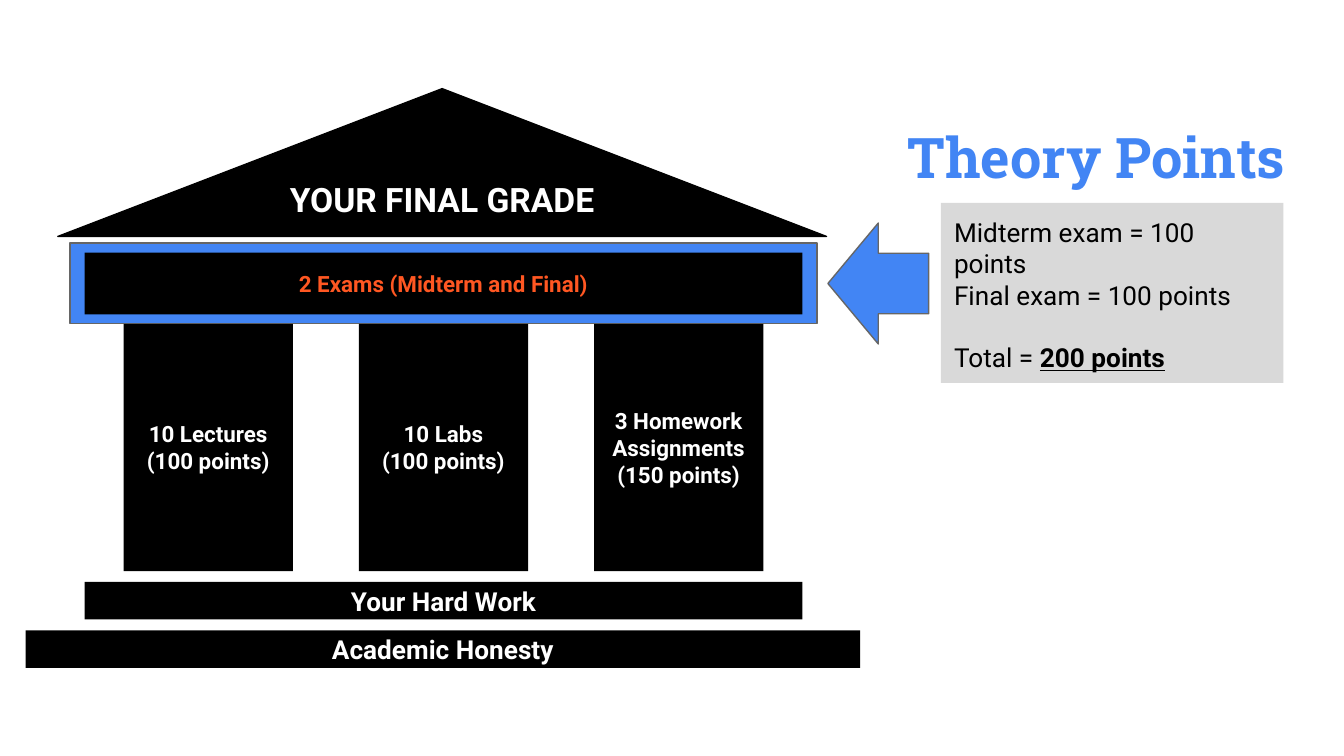
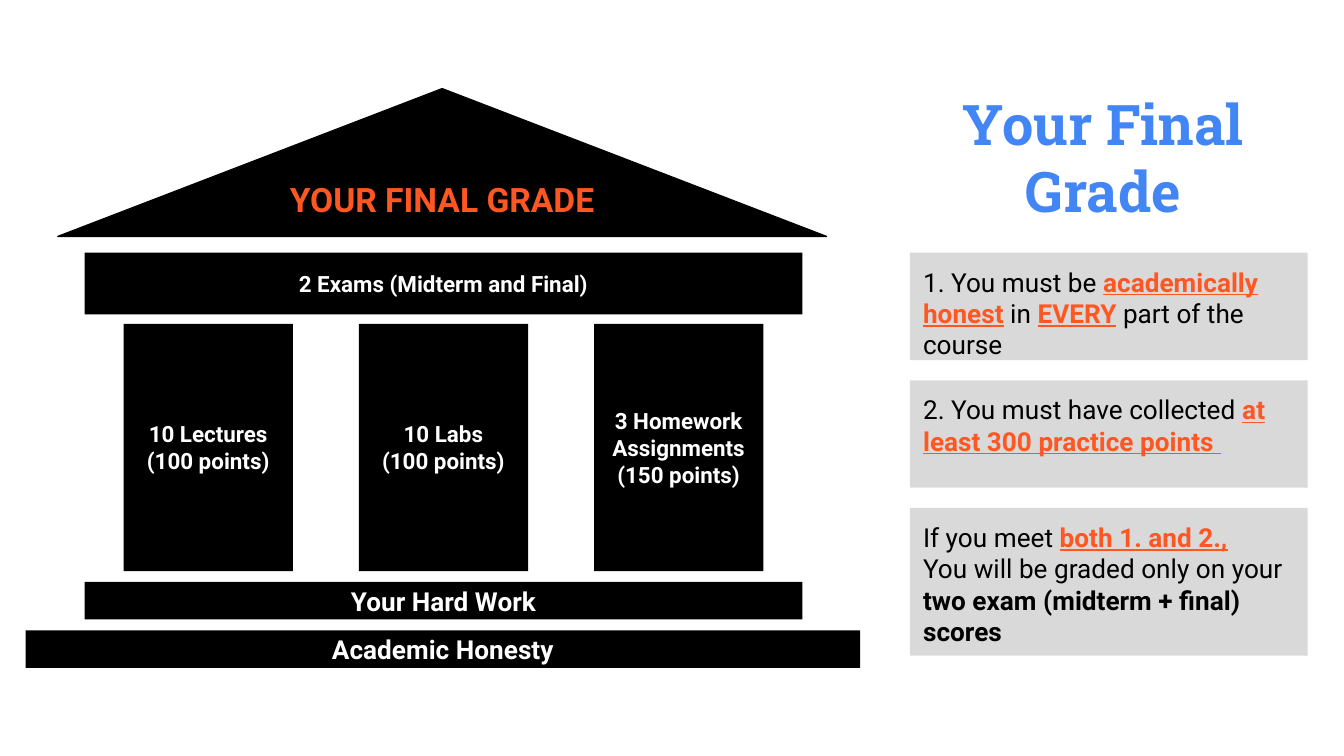
from dataclasses import dataclass

from pptx import Presentation
from pptx.dml.color import RGBColor
from pptx.enum.shapes import MSO_SHAPE
from pptx.enum.text import MSO_ANCHOR, PP_ALIGN
from pptx.util import Inches, Pt

RECTANGLE = MSO_SHAPE.RECTANGLE
TRIANGLE = MSO_SHAPE.ISOSCELES_TRIANGLE
LEFT_ARROW = MSO_SHAPE.LEFT_ARROW
TOP, MIDDLE = MSO_ANCHOR.TOP, MSO_ANCHOR.MIDDLE
LEFT, CENTER = PP_ALIGN.LEFT, PP_ALIGN.CENTER


@dataclass(frozen=True)
class Theme:
    black: str = "000000"
    white: str = "FFFFFF"
    blue: str = "4285F4"
    orange: str = "FF5722"
    panel: str = "D9D9D9"
    outline: str = "666666"
    body_font: str = "Roboto"
    title_font: str = "Roboto Slab"
    title_size: float = 30
    roof_size: float = 18
    body_size: float = 14
    label_size: float = 12
    line_width: float = 0.75
    blank_line: float = 16.8


THEME = Theme()

# Run styles for words that stand out in a panel
BOLD = {"bold": True}
TOTAL = {"bold": True, "underline": True}
STRESSED = {**TOTAL, "color": THEME.orange}


def write_text(shape, paragraphs, *, size=THEME.body_size, font=THEME.body_font,
               color=THEME.black, bold=False, align=LEFT, anchor=TOP, gaps=None):
    """Each paragraph is a string or a list of strings and (text, style) pairs.

    gaps maps a paragraph's index to the points of space before it.
    """
    frame = shape.text_frame
    frame.word_wrap = True
    frame.vertical_anchor = anchor
    frame.margin_left = frame.margin_right = Inches(0.1)
    frame.margin_top = frame.margin_bottom = Inches(0.1)
    for index, content in enumerate(paragraphs):
        paragraph = frame.add_paragraph() if index else frame.paragraphs[0]
        paragraph.alignment = align
        if gaps and index in gaps:
            paragraph.space_before = Pt(gaps[index])
        for part in [content] if isinstance(content, str) else content:
            text, style = (part, {}) if isinstance(part, str) else part
            run = paragraph.add_run()
            run.text = text
            run.font.name = font
            run.font.size = Pt(size)
            run.font.bold = style.get("bold", bold)
            run.font.underline = style.get("underline", False)
            run.font.color.rgb = RGBColor.from_string(style.get("color", color))


def add_block(slide, kind, box, fill, line=None):
    block = slide.shapes.add_shape(kind, *map(Inches, box))
    block.shadow.inherit = False
    block.fill.solid()
    block.fill.fore_color.rgb = RGBColor.from_string(fill)
    if line:
        block.line.color.rgb = RGBColor.from_string(line)
        block.line.width = Pt(THEME.line_width)
    else:
        block.line.fill.background()
    return block


def add_stone(slide, box, lines, size, kind=RECTANGLE, color=THEME.white, line=None):
    stone = add_block(slide, kind, box, THEME.black, line)
    write_text(stone, lines, size=size, color=color, bold=True,
               align=CENTER, anchor=MIDDLE)


def add_title(slide, text):
    title = slide.shapes.add_textbox(*map(Inches, (6.49, 0.65, 3.44, 1.03)))
    write_text(title, [text], size=THEME.title_size, font=THEME.title_font,
               color=THEME.blue, bold=True, align=CENTER, anchor=MIDDLE)


def add_panel(slide, box, paragraphs, gaps=None):
    panel = add_block(slide, RECTANGLE, box, THEME.panel)
    write_text(panel, paragraphs, gaps=gaps)


def add_temple(slide, roof_color=THEME.white, exam_color=THEME.white):
    # Pillars
    pillars = [
        ("10 Lectures", "(100 points)"),
        ("10 Labs", "(100 points)"),
        ("3 Homework Assignments", "(150 points)"),
    ]
    for index, lines in enumerate(pillars):
        add_stone(slide, (0.92 + 1.75 * index, 2.41, 1.26, 1.84), lines,
                  THEME.label_size)
    # Beam and steps
    add_stone(slide, (0.63, 1.88, 5.34, 0.46), ["2 Exams (Midterm and Final)"],
              THEME.label_size, color=exam_color)
    add_stone(slide, (0.19, 4.69, 6.21, 0.28), ["Academic Honesty"], THEME.body_size)
    add_stone(slide, (0.63, 4.33, 5.34, 0.28), ["Your Hard Work"], THEME.body_size)
    # Roof
    add_stone(slide, (0.43, 0.66, 5.72, 1.1), ["YOUR FINAL GRADE"], THEME.roof_size,
              kind=TRIANGLE, color=roof_color, line=THEME.black)


def build_theory_points(slide):
    # Highlight behind the exam beam, with its arrow
    add_block(slide, RECTANGLE, (0.52, 1.81, 5.56, 0.6), THEME.blue, THEME.outline)
    add_block(slide, LEFT_ARROW, (6.16, 1.66, 0.75, 0.9), THEME.blue, THEME.outline)
    add_title(slide, "Theory Points ")
    add_temple(slide, exam_color=THEME.orange)
    add_panel(slide, (7, 1.51, 2.55, 1.34), [
        "Midterm exam = 100 points",
        "Final exam = 100 points",
        ["Total = ", ("200 points", TOTAL)],
    ], gaps={2: THEME.blank_line})


def build_final_grade(slide):
    add_temple(slide, roof_color=THEME.orange)
    add_title(slide, "Your Final Grade")
    # Conditions and outcome, stacked at an even step
    panels = [
        (0.8, [["1. You must be ", ("academically honest", STRESSED), " in ",
                ("EVERY", STRESSED), " part of the course"]]),
        (0.8, [["2. You must have collected ",
                ("at least 300 practice points ", STRESSED)]]),
        (1.1, [["If you meet ", ("both 1. and 2.,", STRESSED)],
               ["You will be graded only on your ",
                ("two exam (midterm + final) scores", BOLD)]]),
    ]
    for index, (height, paragraphs) in enumerate(panels):
        add_panel(slide, (6.77, 1.88 + 0.95 * index, 2.96, height), paragraphs)


def main():
    deck = Presentation()
    # Widescreen, 16:9
    deck.slide_width = Inches(10)
    deck.slide_height = Inches(10) * 9 // 16
    blank = deck.slide_layouts[6]
    build_theory_points(deck.slides.add_slide(blank))
    build_final_grade(deck.slides.add_slide(blank))
    deck.save("out.pptx")


if __name__ == "__main__":
    main()
